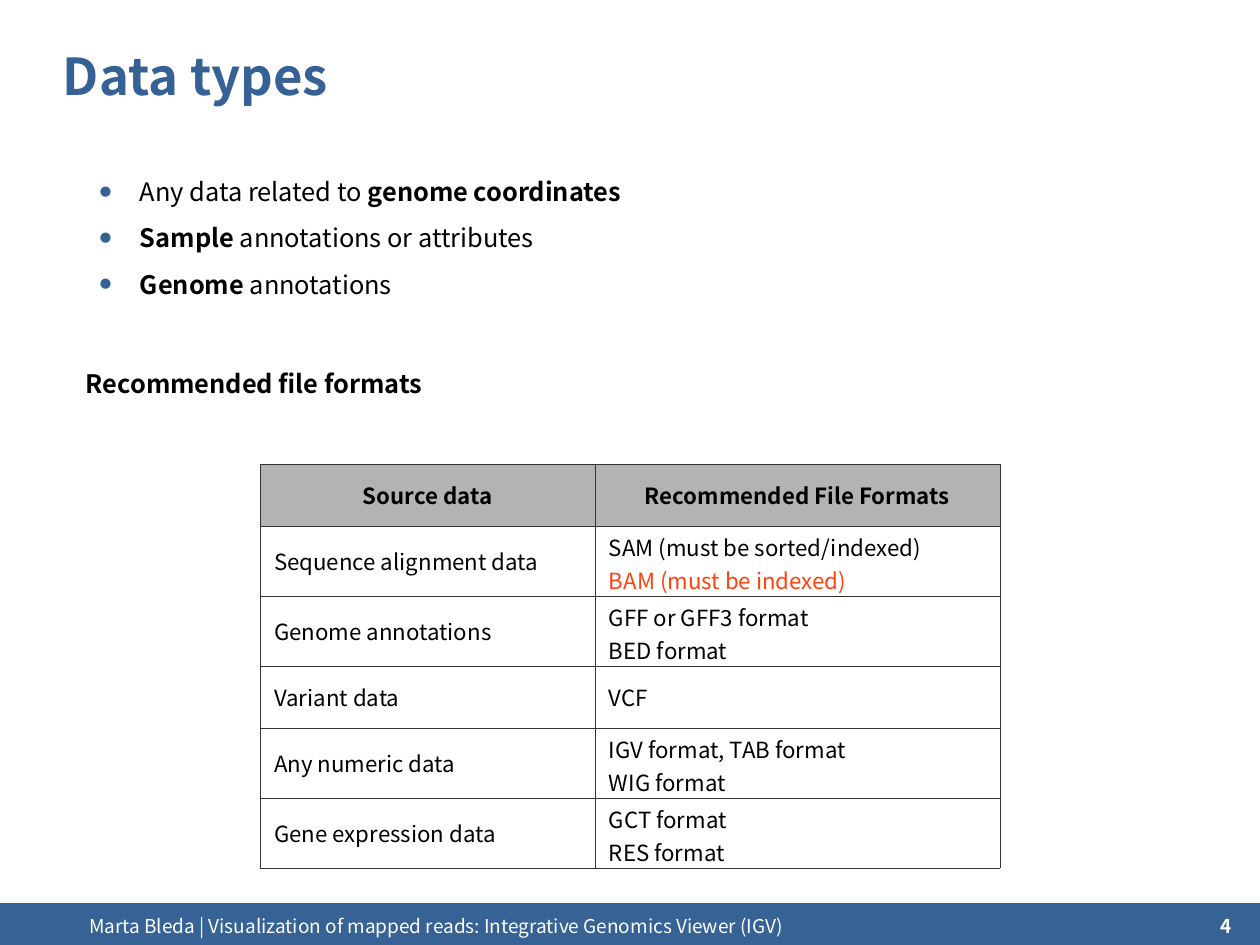
from lxml import etree
from pptx import Presentation
from pptx.dml.color import RGBColor
from pptx.enum.shapes import MSO_SHAPE
from pptx.enum.text import MSO_ANCHOR, PP_ALIGN
from pptx.oxml.ns import qn
from pptx.util import Pt

PX = 8000
FONT = "Noto Sans CJK KR"
COLORS = {
    "title": "356195", "band": "366296", "ink": "000000", "white": "FFFFFF",
    "header": "B3B3B3", "border": "333333", "accent": "FF420E",
}
BULLETS = [
    [("Any data related to", False), (" genome coordinates", True)],
    [("Sample", True), (" annotations or attributes", False)],
    [("Genome", True), (" annotations", False)],
]
FORMATS = [
    ("Source data", ["Recommended File Formats"]),
    ("Sequence alignment data", ["SAM (must be sorted/indexed)", "BAM (must be indexed)"]),
    ("Genome annotations", ["GFF or GFF3 format", "BED format"]),
    ("Variant data", ["VCF"]),
    ("Any numeric data", ["IGV format, TAB format", "WIG format"]),
    ("Gene expression data", ["GCT format", "RES format"]),
]


def rgb(name):
    return RGBColor.from_string(COLORS[name])


def style(run, size, color="ink", bold=False):
    run.font.name = FONT
    run.font.size = Pt(size)
    run.font.bold = bold
    run.font.color.rgb = rgb(color)


def text_frame(slide, x, y, w, h):
    frame = slide.shapes.add_textbox(x * PX, y * PX, w * PX, h * PX).text_frame
    frame.word_wrap = True
    frame.margin_left = frame.margin_right = frame.margin_top = frame.margin_bottom = 0
    return frame


def add_line(slide, x, y, w, h, text, size, color, bold=False, align=PP_ALIGN.LEFT):
    frame = text_frame(slide, x, y, w, h)
    frame.vertical_anchor = MSO_ANCHOR.MIDDLE if size > 20 else MSO_ANCHOR.TOP
    frame.text = text
    frame.paragraphs[0].alignment = align
    style(frame.paragraphs[0].runs[0], size, color, bold)


def add_bullet(paragraph):
    properties = paragraph._p.get_or_add_pPr()
    properties.set("marL", str(54 * PX))
    properties.set("indent", str(-40 * PX))
    color = etree.SubElement(properties, qn("a:buClr"))
    etree.SubElement(color, qn("a:srgbClr"), val=COLORS["title"])
    etree.SubElement(properties, qn("a:buSzPct"), val="45000")
    etree.SubElement(properties, qn("a:buFont"), typeface=FONT)
    etree.SubElement(properties, qn("a:buChar"), char="●")


def add_body(slide, x, y, w, h):
    frame = text_frame(slide, x, y, w, h)
    for index, pieces in enumerate(BULLETS):
        point = frame.add_paragraph() if index else frame.paragraphs[0]
        add_bullet(point)
        point.space_after = Pt(10)
        for text, bold in pieces:
            run = point.add_run()
            run.text = text
            style(run, 16, bold=bold)
    heading = frame.add_paragraph()
    heading.text = "Recommended file formats"
    heading.space_before = Pt(33.4)
    style(heading.runs[0], 16, bold=True)


def add_borders(cell):
    properties = cell._tc.get_or_add_tcPr()
    for position, side in enumerate(("lnL", "lnR", "lnT", "lnB")):
        line = etree.Element(qn(f"a:{side}"), w="720")
        fill = etree.SubElement(line, qn("a:solidFill"))
        etree.SubElement(fill, qn("a:srgbClr"), val=COLORS["border"])
        properties.insert(position, line)


def fill_cell(cell, lines, is_header):
    cell.fill.solid()
    cell.fill.fore_color.rgb = rgb("header" if is_header else "white")
    cell.vertical_anchor = MSO_ANCHOR.MIDDLE
    cell.margin_left = (5 if is_header else 14) * PX
    cell.margin_right = 5 * PX
    cell.margin_top = 5 * PX
    cell.margin_bottom = 0 if len(lines) > 1 else 5 * PX
    cell.text_frame.text = "\n".join(lines)
    for paragraph in cell.text_frame.paragraphs:
        paragraph.alignment = PP_ALIGN.CENTER if is_header else PP_ALIGN.LEFT
        color = "accent" if paragraph.text.startswith("BAM") else "ink"
        style(paragraph.runs[0], 14, color, is_header)
    add_borders(cell)


def add_formats_table(slide, x, y, column_widths):
    heights = [70 if len(formats) > 1 else 62 for _, formats in FORMATS]
    table = slide.shapes.add_table(
        len(FORMATS), 2, x * PX, y * PX, sum(column_widths) * PX, sum(heights) * PX).table
    table.horz_banding = False
    table.first_row = False
    for column, width in zip(table.columns, column_widths):
        column.width = width * PX
    for index, (source, formats) in enumerate(FORMATS):
        table.rows[index].height = heights[index] * PX
        fill_cell(table.cell(index, 0), [source], index == 0)
        fill_cell(table.cell(index, 1), formats, index == 0)


def add_footer(slide, x, y, w, h):
    band = slide.shapes.add_shape(MSO_SHAPE.RECTANGLE, x * PX, y * PX, w * PX, h * PX)
    band.shadow.inherit = False
    band.fill.solid()
    band.fill.fore_color.rgb = rgb("band")
    band.line.fill.background()
    add_line(slide, x + 89, y + 11, 1021, 31,
             "Marta Bleda | Visualization of mapped reads: Integrative Genomics Viewer (IGV)",
             12, "white")
    add_line(slide, x + w - 132, y + 11, 104, 31, "4", 12, "white", True, PP_ALIGN.RIGHT)


def main():
    deck = Presentation()
    deck.slide_width = 1260 * PX
    deck.slide_height = 945 * PX
    slide = deck.slides.add_slide(deck.slide_layouts[6])
    add_footer(slide, 0, 903, 1260, 42)
    add_body(slide, 86, 176, 1096, 279)
    add_line(slide, 63, 38, 1134, 74, "Data types", 32, "title", True)
    add_formats_table(slide, 260, 464, [335, 405])
    deck.save("out.pptx")


if __name__ == "__main__":
    main()
